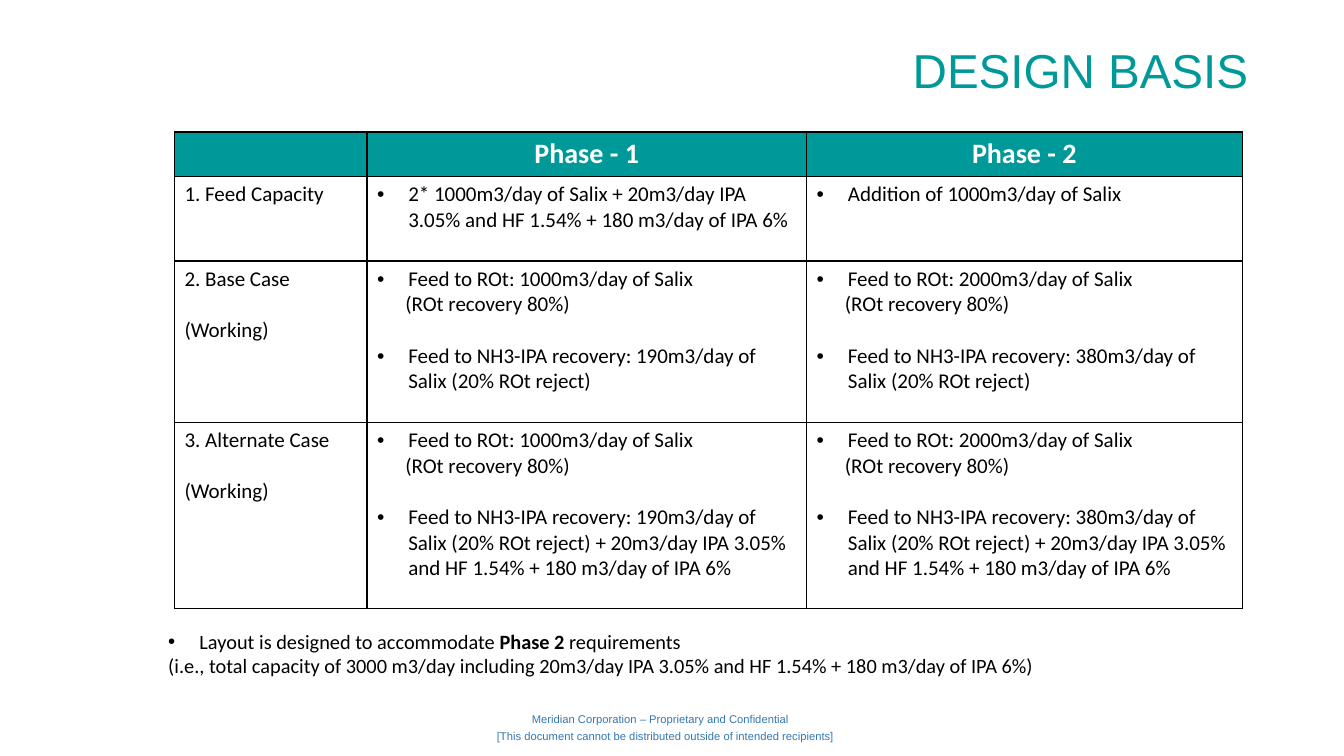
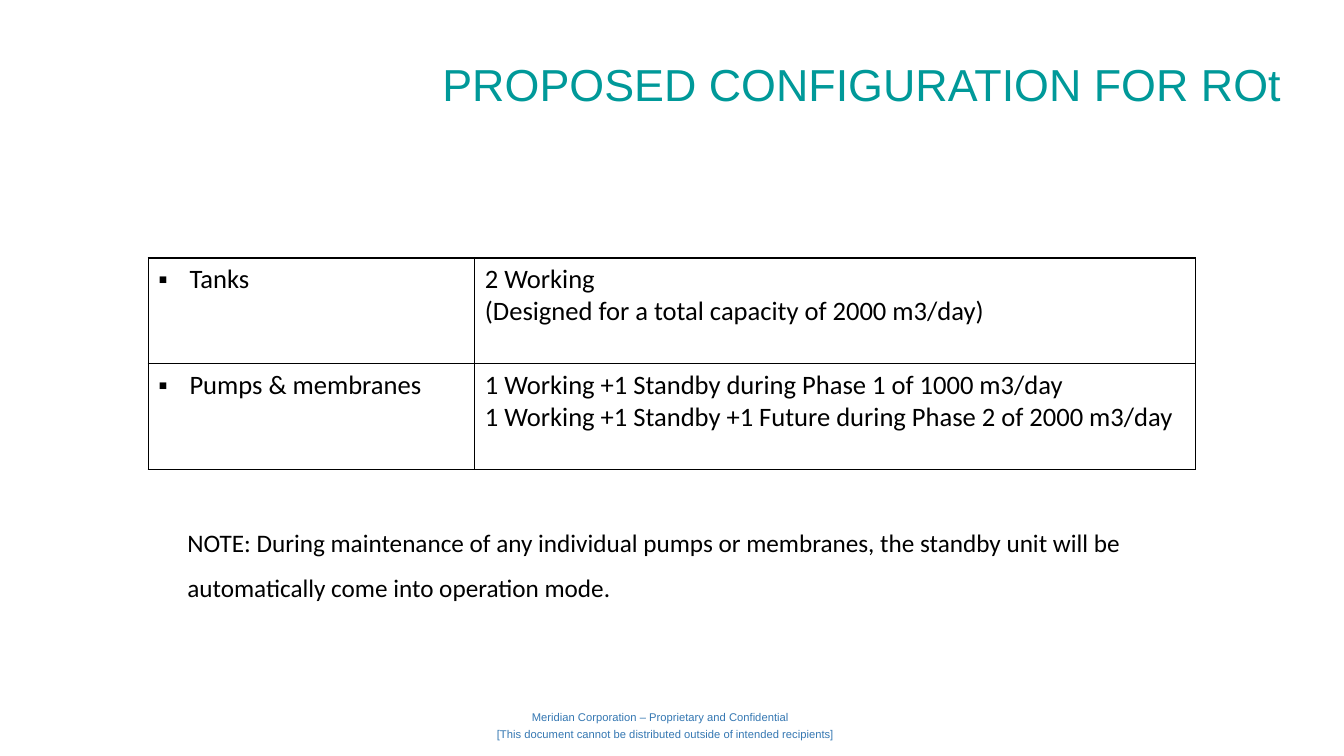
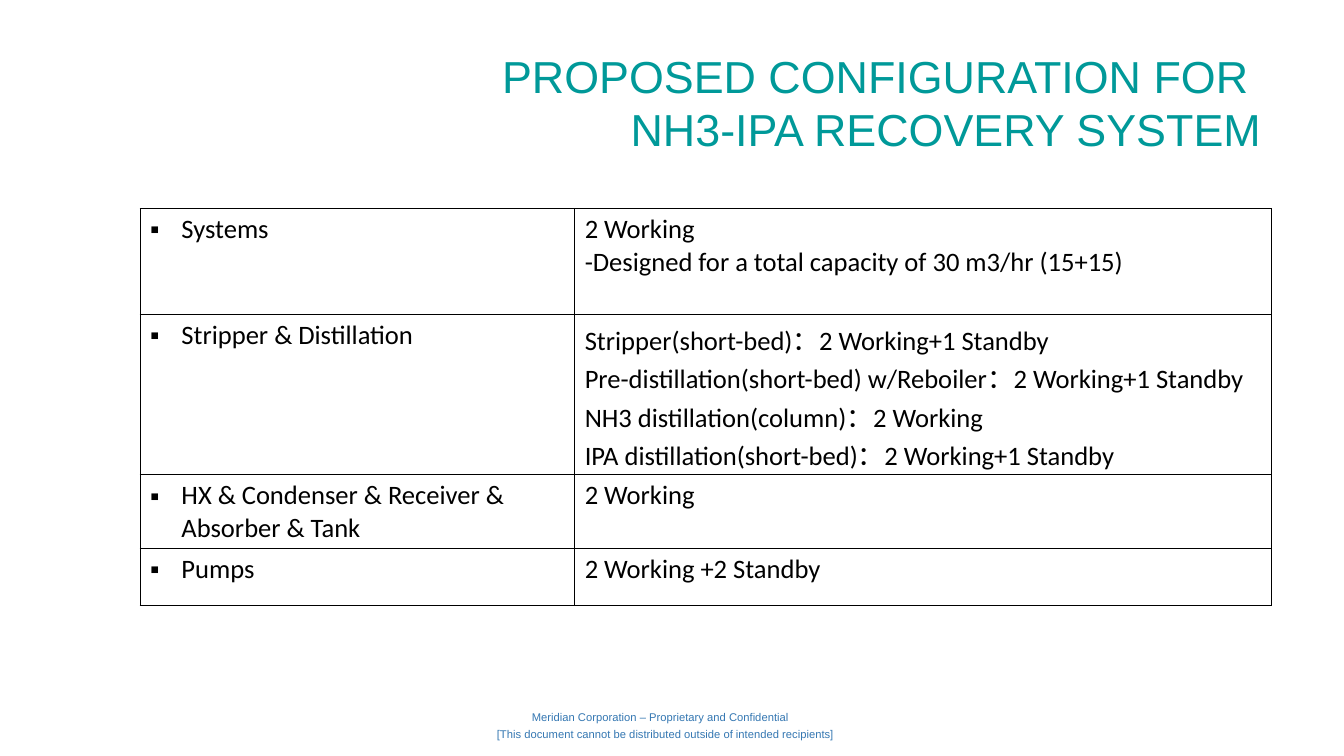
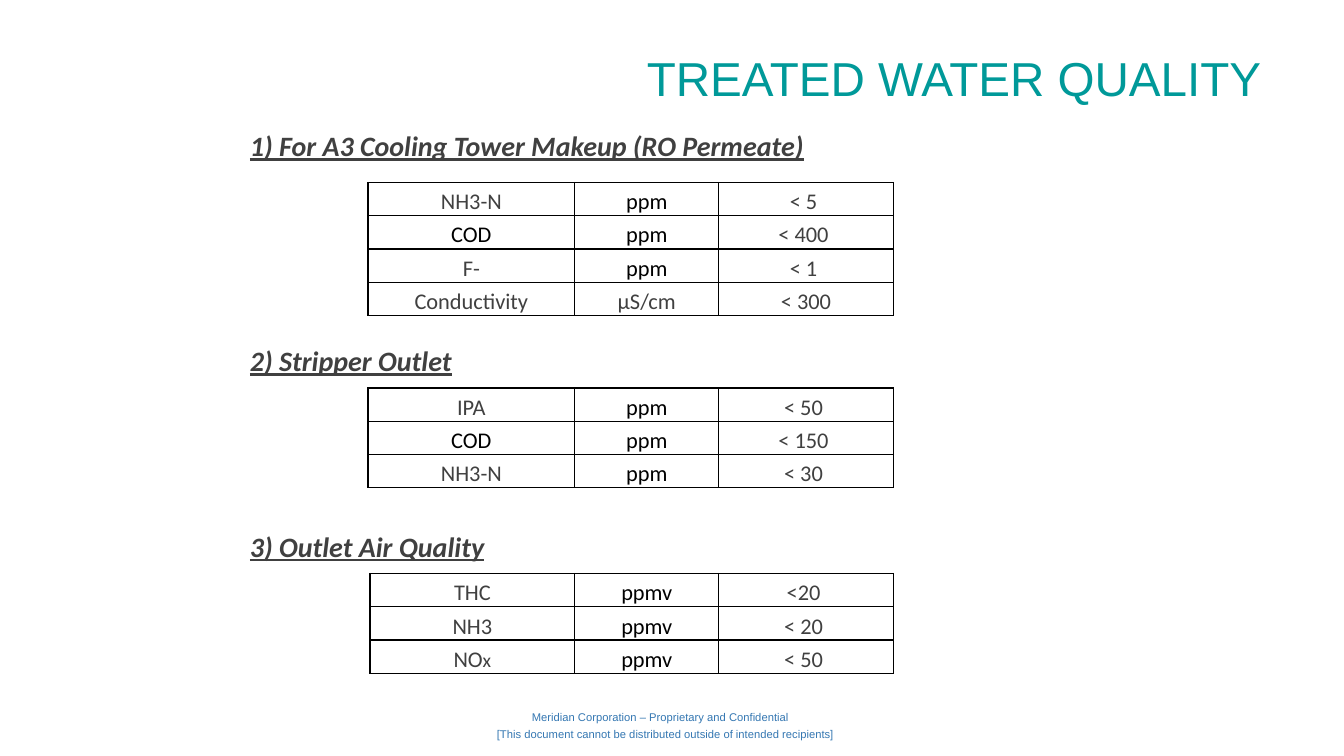
from lxml import etree
from pptx import Presentation
from pptx.dml.color import RGBColor
from pptx.enum import text as t
from pptx.oxml import ns
from pptx.util import Inches, Pt

TEAL = RGBColor(0x00, 0x99, 0x99)
BLUE = RGBColor(0x34, 0x77, 0xB2)
GRAY = RGBColor(0x40, 0x40, 0x40)
BLACK = RGBColor(0, 0, 0)
WHITE = RGBColor(255, 255, 255)
LEFT, MID, RIGHT = t.PP_ALIGN.LEFT, t.PP_ALIGN.CENTER, t.PP_ALIGN.RIGHT
HANG = 0.31
OWNER = "Meridian Corporation – Proprietary and Confidential"
NOTICE = "[This document cannot be distributed outside of intended recipients]"


def style(run, size=18, face="Calibri", color=BLACK, bold=False, slant=False, under=False):
    font = run.font
    font.size, font.name, font.color.rgb = Pt(size), face, color
    font.bold, font.italic, font.underline = bold, slant, under


def write(frame, lines, align=LEFT, space=None, before=0, after=0, mark=None, indent=0, **fmt):
    base = dict(align=align, space=space, before=before, after=after, mark=mark, indent=indent)
    for num, line in enumerate([lines] if isinstance(lines, str) else lines):
        runs, own = line if isinstance(line, tuple) else (line, {})
        look = {**base, **own}
        para = frame.paragraphs[0] if num == 0 else frame.add_paragraph()
        para.alignment = look["align"]
        para.space_before, para.space_after = Pt(look["before"]), Pt(look["after"])
        if look["space"]:
            para.line_spacing = look["space"]
        props = para._p.get_or_add_pPr()
        left = HANG if look["mark"] else look["indent"]
        props.set("marL", str(Inches(left)))
        props.set("indent", str(Inches(-HANG if look["mark"] else 0)))
        if look["mark"]:
            font = etree.SubElement(props, ns.qn("a:buFont"))
            font.set("typeface", "Arial")
            etree.SubElement(props, ns.qn("a:buChar")).set("char", look["mark"])
        for part in [(runs, {})] if isinstance(runs, str) else runs:
            run = para.add_run()
            run.text = part[0]
            style(run, **{**fmt, **part[1]})


def label(slide, box, lines, wrap=True, **fmt):
    frame = slide.shapes.add_textbox(*map(Inches, box)).text_frame
    frame.word_wrap = wrap
    write(frame, lines, **fmt)


def dot(words, mark="•", **own):
    return words, dict(mark=mark, **own)


def item(words):
    return [dot(words, "▪")]


def title(slide, box, lines, size):
    label(slide, box, lines, size=size, face="Arial", color=TEAL, align=RIGHT)


def footer(slide, top):
    look = dict(size=8, face="Arial", color=BLUE)
    label(slide, (5.16, top, 2.78, 0.24), OWNER, align=MID, **look)
    label(slide, (4.83, top + 0.17, 3.68, 0.24), NOTICE, wrap=False, **look)


def edge(cell):
    props = cell._tc.get_or_add_tcPr()
    for num, side in enumerate(("lnL", "lnR", "lnT", "lnB")):
        line = etree.Element(ns.qn("a:" + side), w=str(Pt(1)))
        fill = etree.SubElement(line, ns.qn("a:solidFill"))
        etree.SubElement(fill, ns.qn("a:srgbClr")).set("val", str(BLACK))
        props.insert(num, line)


def grid(slide, left, top, cols, rows, cells, head=None, tight=False, **fmt):
    size = (left, top, sum(cols), sum(rows))
    table = slide.shapes.add_table(len(rows), len(cols), *map(Inches, size)).table
    table.first_row = table.horz_banding = False
    for col, width in zip(table.columns, cols):
        col.width = Inches(width)
    for row, height, texts in zip(table.rows, rows, cells):
        row.height = Inches(height)
        for cell, lines in zip(row.cells, texts):
            cell.fill.background()
            if tight:
                cell.margin_left = cell.margin_right = cell.margin_top = cell.margin_bottom = 0
                cell.vertical_anchor = t.MSO_ANCHOR.BOTTOM
            edge(cell)
            if lines:
                write(cell.text_frame, lines, **fmt)
    if head:
        for cell, words in zip(table.rows[0].cells, head):
            cell.fill.solid()
            cell.fill.fore_color.rgb = TEAL
            if words:
                write(cell.text_frame, words, size=20, color=WHITE, bold=True, align=MID)


def feed(flow, waste, extra=""):
    return [
        dot(f"Feed to ROt: {flow}m3/day of Salix"),
        ("(ROt recovery 80%)", dict(indent=0.28)),
        dot(f"Feed to NH3-IPA recovery: {waste}m3/day of Salix (20% ROt reject){extra}", before=18.3),
    ]


def case(name):
    return [name, ("(Working)", dict(before=18.3))]


def basis(slide):
    title(slide, (4.12, 0.36, 8.49, 0.67), "DESIGN BASIS ", 34)
    footer(slide, 7.02)
    mix = "20m3/day IPA 3.05% and HF 1.54% + 180 m3/day of IPA 6%"
    cells = [
        ["", "", ""],
        ["1. Feed Capacity", [dot("2* 1000m3/day of Salix + " + mix)],
         [dot("Addition of 1000m3/day of Salix")]],
        [case("2. Base Case"), feed(1000, 190), feed(2000, 380)],
        [case("3. Alternate Case"), feed(1000, 190, " + " + mix), feed(2000, 380, " + " + mix)],
    ]
    grid(slide, 1.73, 1.31, (1.91, 4.36, 4.32), (0.44, 0.84, 1.6, 1.85), cells,
         head=("", "Phase - 1", "Phase - 2"), size=15)
    note = [("Layout is designed to accommodate ", {}), ("Phase 2", dict(bold=True)),
            (" requirements", {})]
    label(slide, (1.57, 6.19, 9.97, 0.61),
          [dot(note), f"(i.e., total capacity of 3000 m3/day including {mix})"], size=14.5)


def config(slide):
    title(slide, (3.08, 0.51, 9.73, 0.64), "PROPOSED CONFIGURATION FOR ROt", 32)
    footer(slide, 7)
    cells = [
        [item("Tanks"), ["2 Working", "(Designed for a total capacity of 2000 m3/day)"]],
        [item("Pumps & membranes"),
         ["1 Working +1 Standby during Phase 1 of 1000 m3/day",
          "1 Working +1 Standby +1 Future during Phase 2 of 2000 m3/day"]],
    ]
    grid(slide, 1.47, 2.56, (3.24, 7.15), (1.05, 1.05), cells, size=19)
    label(slide, (1.76, 5.03, 10.04, 0.96),
          "NOTE: During maintenance of any individual pumps or membranes, the standby unit "
          "will be automatically come into operation mode.", space=1.5)


def system(slide):
    title(slide, (2.88, 0.43, 9.73, 1.18),
          ["PROPOSED CONFIGURATION FOR ", "NH3-IPA RECOVERY SYSTEM"], 32)
    footer(slide, 7)
    cells = [
        [item("Systems"), ["2 Working", "-Designed for a total capacity of 30 m3/hr (15+15)"]],
        [item("Stripper & Distillation"),
         ["Stripper(short-bed)：2 Working+1 Standby",
          "Pre-distillation(short-bed) w/Reboiler：2 Working+1 Standby",
          "NH3 distillation(column)：2 Working",
          "IPA distillation(short-bed)：2 Working+1 Standby"]],
        [item("HX & Condenser & Receiver & Absorber & Tank"), "2 Working"],
        [item("Pumps"), "2 Working +2 Standby"],
    ]
    grid(slide, 1.39, 2.07, (4.31, 6.91), (1.05, 1.59, 0.73, 0.56), cells, size=19)


def limits(slide, top, name, left, start, unit, rows):
    label(slide, (2.38, top, 11.11 - 0.2, 0.44), name, size=20, color=GRAY,
          bold=True, slant=True, under=True)
    cells = []
    for key, most, *own in rows:
        tint = BLACK if key == "COD" else GRAY
        kind = own[0] if own else unit
        tone = GRAY if own else BLACK
        runs = [("NO", {}), ("x", dict(size=14))] if key == "NOx" else [(key, dict(color=tint))]
        cells.append([[(runs, {})], [([(kind, dict(color=tone))], {})], most])
    grid(slide, left, start, (8.86 - left - 3.16, 1.43, 1.73), [0.33] * len(rows), cells,
         tight=True, size=16, color=GRAY, align=MID, space=1.07, after=8)


def water(slide):
    title(slide, (4.12, 0.44, 8.49, 0.67), "TREATED WATER QUALITY", 34)
    footer(slide, 7)
    limits(slide, 1.23, "1) For A3 Cooling Tower Makeup (RO Permeate)", 3.65, 1.81, "ppm",
           [("NH3-N", "< 5 "), ("COD", "< 400 "), ("F-", "< 1 "),
            ("Conductivity", "< 300", "µS/cm")])
    limits(slide, 3.36, "2) Stripper Outlet", 3.65, 3.85, "ppm",
           [("IPA", "< 50 "), ("COD", "< 150 "), ("NH3-N", "< 30 ")])
    limits(slide, 5.2, "3) Outlet Air Quality", 3.67, 5.69, "ppmv",
           [("THC", "<20 "), ("NH3", "< 20 "), ("NOx", "< 50 ")])


def main():
    deck = Presentation()
    deck.slide_width, deck.slide_height = Inches(13.33), Inches(7.5)
    for build in (basis, config, system, water):
        build(deck.slides.add_slide(deck.slide_layouts[6]))
    deck.save("out.pptx")


if __name__ == "__main__":
    main()
